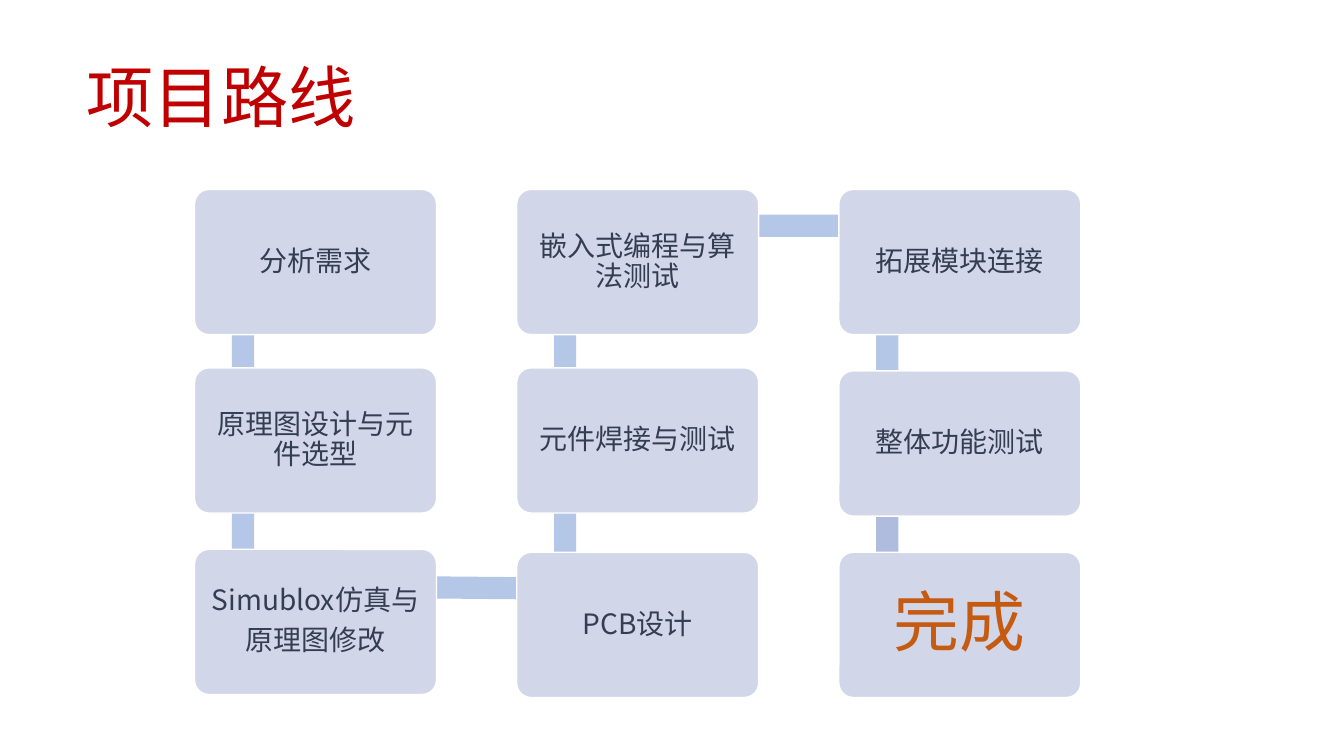
from dataclasses import dataclass
from itertools import pairwise
from math import atan2, degrees, hypot

from lxml.etree import SubElement
from pptx import Presentation
from pptx.dml.color import RGBColor
from pptx.enum.shapes import MSO_SHAPE
from pptx.enum.text import MSO_ANCHOR, MSO_AUTO_SIZE, PP_ALIGN
from pptx.oxml.ns import qn
from pptx.util import Inches, Pt


@dataclass(frozen=True)
class Theme:
    """Colours, font and type sizes of the slide."""
    font: str = "Noto Sans CJK SC"
    title: str = "C00000"
    text: str = "333F50"
    done: str = "C55A11"
    box: str = "D2D6E9"
    edge: str = "FFFFFF"
    bar: str = "B4C7E7"
    last_bar: str = "B0BCDE"
    title_size: int = 48
    step_size: int = 20
    done_size: int = 47


T = Theme()
BOX_W, BOX_H, BAR_H = 2.4, 1.44, 0.22
LEFT, COL_STEP = 1.93, 3.195
COLUMN_TOPS = ((1.88, 3.65, 5.45), (1.88, 3.65, 5.48), (1.88, 3.68, 5.48))
# Each step is column, row, text; the route snakes down, up and down again.
STEPS = (
    (0, 0, "分析需求"),
    (0, 1, "原理图设计与元件选型"),
    (0, 2, "Simublox仿真与\n原理图修改"),
    (1, 2, "PCB设计"),
    (1, 1, "元件焊接与测试"),
    (1, 0, "嵌入式编程与算法测试"),
    (2, 0, "拓展模块连接"),
    (2, 1, "整体功能测试"),
    (2, 2, "完成"),
)


def write(tf, text, size, color, align=PP_ALIGN.CENTER, spacing=None, after=0):
    """Fill a text frame, one paragraph per line of text."""
    tf.word_wrap = True
    tf.vertical_anchor = MSO_ANCHOR.MIDDLE
    for i, line in enumerate(text.split("\n")):
        p = tf.add_paragraph() if i else tf.paragraphs[0]
        p.alignment, p.line_spacing = align, spacing
        p.space_before, p.space_after = Pt(0), Pt(after * size)
        r = p.add_run()
        r.text = line
        r.font.size, r.font.name = Pt(size), T.font
        r.font.color.rgb = RGBColor.from_string(color)
        SubElement(r.font._element, qn("a:ea"), typeface=T.font)


def add_block(s, kind, left, top, width, height, fill):
    """Add a flat filled shape without a line."""
    sp = s.shapes.add_shape(kind, *map(Inches, (left, top, width, height)))
    sp.shadow.inherit = False
    sp.fill.solid()
    sp.fill.fore_color.rgb = RGBColor.from_string(fill)
    sp.line.fill.background()
    return sp


def corner(col, row):
    """Return the left and top of a step box."""
    return LEFT + col * COL_STEP, COLUMN_TOPS[col][row]


def add_bar(s, start, end, fill):
    """Join two steps between points a fifth across and a quarter down."""
    (x1, y1), (x2, y2) = corner(*start), corner(*end)
    length = hypot(x2 - x1, y2 - y1)
    mid_x = (x1 + x2) / 2 + BOX_W / 5
    mid_y = (y1 + y2) / 2 + BOX_H / 4
    sp = add_block(s, MSO_SHAPE.RECTANGLE, mid_x - length / 2,
                   mid_y - BAR_H / 2, length, BAR_H, fill)
    sp.rotation = degrees(atan2(y2 - y1, x2 - x1))


def add_step(s, col, row, text, size, color, inset):
    """Add one rounded step box with its label."""
    sp = add_block(s, MSO_SHAPE.ROUNDED_RECTANGLE, *corner(col, row),
                   BOX_W, BOX_H, T.box)
    sp.adjustments[0] = 0.1
    sp.line.color.rgb = RGBColor.from_string(T.edge)
    sp.line.width = Pt(1)
    tf = sp.text_frame
    tf.margin_left = tf.margin_right = Inches(inset)
    tf.margin_top = tf.margin_bottom = Inches(inset)
    write(tf, text, size, color, spacing=0.9, after=0.35)


def add_title(s, text):
    """Place and format the title placeholder."""
    sp = s.shapes.title
    sp.left, sp.top, sp.width, sp.height = map(Inches, (0.76, 0.49, 6.14, 0.91))
    sp.text_frame.auto_size = MSO_AUTO_SIZE.NONE
    write(sp.text_frame, text, T.title_size, T.title, align=PP_ALIGN.LEFT)


def main():
    """Build the project route slide."""
    prs = Presentation()
    prs.slide_width, prs.slide_height = Inches(13.33), Inches(7.5)
    s = prs.slides.add_slide(prs.slide_layouts[5])
    add_title(s, "项目路线")
    for start, end in pairwise(STEPS):
        add_bar(s, start[:2], end[:2], T.last_bar if end == STEPS[-1] else T.bar)
    for step in STEPS[:-1]:
        add_step(s, *step, T.step_size, T.text, inset=0.08)
    add_step(s, *STEPS[-1], T.done_size, T.done, inset=0.2)
    prs.save("out.pptx")


main()
